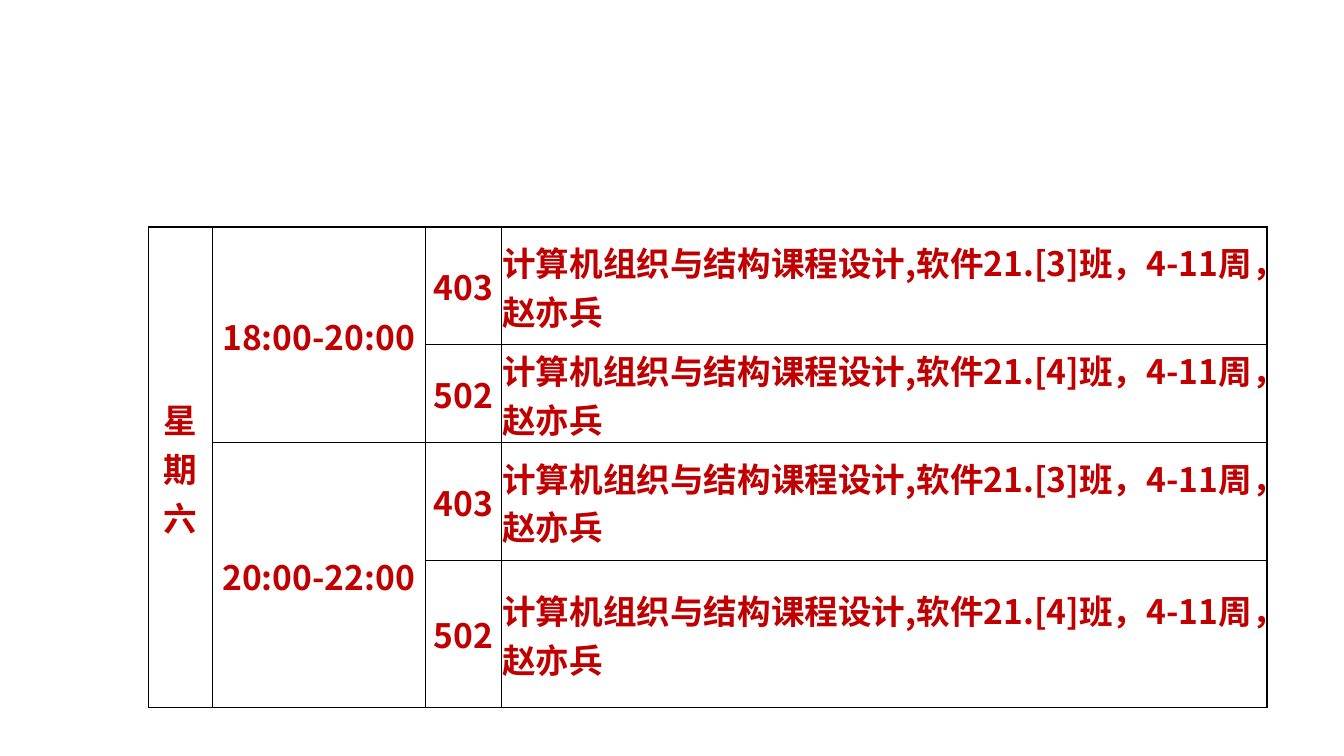
from dataclasses import dataclass

from lxml.etree import SubElement as Sub
from pptx import Presentation
from pptx.dml.color import RGBColor as RGB
from pptx.enum.text import MSO_ANCHOR as Anchor, PP_ALIGN as Align
from pptx.oxml.ns import qn
from pptx.table import Table, _Cell as Cell
from pptx.util import Cm, Length, Pt


@dataclass(frozen=True)
class Theme:
    font: str = "Noto Sans CJK SC"
    size: Length = Pt(24)
    ink: RGB = RGB(0xC0, 0x00, 0x00)
    line: RGB = RGB(0x00, 0x00, 0x00)
    thin: Length = Pt(0.5)
    thick: Length = Pt(1)


@dataclass(frozen=True)
class Entry:
    row: int
    col: int
    text: str
    span: int = 1
    align: Align = Align.CENTER


THEME = Theme()
WIDTHS = [Cm(1.6), Cm(5.38), Cm(1.91), Cm(19.3)]
HEIGHTS = [Cm(2.95), Cm(2.36), Cm(2.95), Cm(2.13)]
SLOTS = ["18:00-20:00", "20:00-22:00"]
ROOMS = {"403": 3, "502": 4}


def plan() -> list[Entry]:
    """List the entries: the day, its time slots, and a class per room."""
    found = [Entry(0, 0, "星期六", len(HEIGHTS))]
    for i, slot in enumerate(SLOTS):
        top = i * len(ROOMS)
        found.append(Entry(top, 1, slot, len(ROOMS)))
        for row, (room, group) in enumerate(ROOMS.items(), top):
            course = f"计算机组织与结构课程设计,软件21.[{group}]班，4-11周，赵亦兵"
            found.append(Entry(row, 2, room))
            found.append(Entry(row, 3, course, align=Align.LEFT))
    return found


def rule(cell: Cell, entry: Entry) -> None:
    """Draw the cell's borders, thick along the edge of the table."""
    outer = {
        "L": entry.col == 0,
        "R": entry.col == len(WIDTHS) - 1,
        "T": entry.row == 0,
        "B": entry.row + entry.span == len(HEIGHTS),
    }
    props = cell._tc.get_or_add_tcPr()
    for side, edge in outer.items():
        width = THEME.thick if edge else THEME.thin
        line = Sub(props, qn(f"a:ln{side}"), w=str(int(width)))
        fill = Sub(line, qn("a:solidFill"))
        Sub(fill, qn("a:srgbClr"), val=str(THEME.line))


def write(cell: Cell, entry: Entry) -> None:
    cell.vertical_anchor = Anchor.MIDDLE
    cell.margin_left = cell.margin_right = cell.margin_top = Cm(0.03)
    cell.margin_bottom = Cm(0)
    para = cell.text_frame.paragraphs[0]
    para.alignment = entry.align
    run = para.add_run()
    run.text = entry.text
    font = run.font
    font.name, font.size, font.bold = THEME.font, THEME.size, True
    font.color.rgb = THEME.ink
    Sub(run._r.get_or_add_rPr(), qn("a:ea"), typeface=THEME.font)


def fill(table: Table) -> None:
    table.first_row = table.horz_banding = False
    for col, width in zip(table.columns, WIDTHS):
        col.width = width
    for row, height in zip(table.rows, HEIGHTS):
        row.height = height
    for entry in plan():
        cell = table.cell(entry.row, entry.col)
        if entry.span > 1:
            cell.merge(table.cell(entry.row + entry.span - 1, entry.col))
        write(cell, entry)
        rule(cell, entry)
    for cell in table.iter_cells():
        cell.fill.background()


def main() -> None:
    deck = Presentation()
    deck.slide_width, deck.slide_height = Cm(33.87), Cm(19.05)
    slide = deck.slides.add_slide(deck.slide_layouts[6])
    frame = slide.shapes.add_table(
        len(HEIGHTS), len(WIDTHS), Cm(3.74), Cm(5.72), sum(WIDTHS), sum(HEIGHTS)
    )
    fill(frame.table)
    deck.save("out.pptx")


if __name__ == "__main__":
    main()
